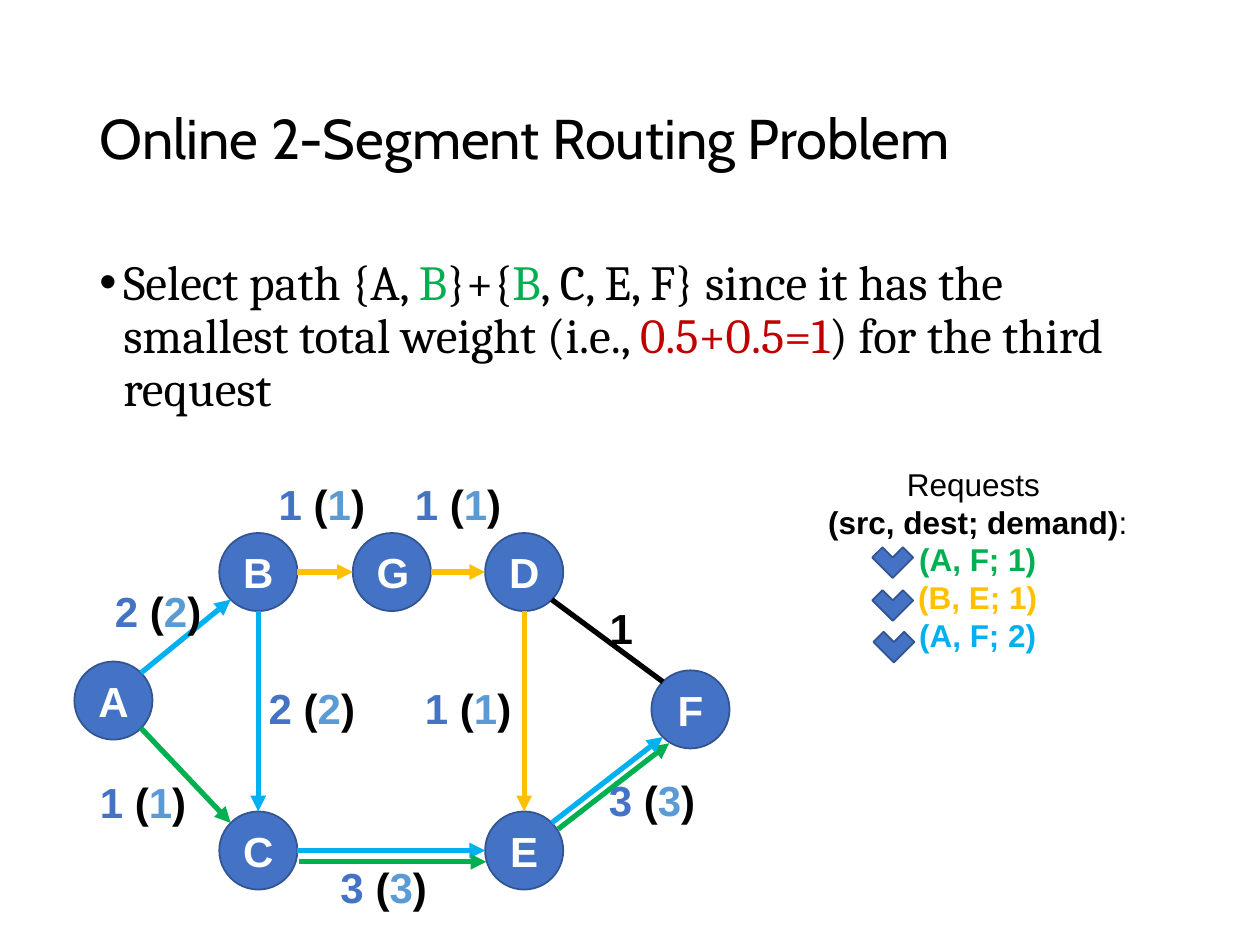
import math

import pptx
import pptx.util
from lxml import etree
from pptx.dml.color import RGBColor
from pptx.enum.shapes import MSO_CONNECTOR, MSO_SHAPE
from pptx.enum.text import MSO_ANCHOR, MSO_AUTO_SIZE, PP_ALIGN
from pptx.oxml.ns import qn
from pptx.util import Inches, Pt

BLACK = RGBColor(0x00, 0x00, 0x00)
WHITE = RGBColor(0xFF, 0xFF, 0xFF)
BLUE = RGBColor(0x44, 0x72, 0xC4)
DARK_BLUE = RGBColor(0x32, 0x54, 0x91)
LIGHT_BLUE = RGBColor(0x5B, 0x9B, 0xD5)
GREEN = RGBColor(0x00, 0xB0, 0x50)
AMBER = RGBColor(0xFF, 0xC0, 0x00)
SKY = RGBColor(0x00, 0xB0, 0xF0)
RED = RGBColor(0xC0, 0x00, 0x00)

TITLE = "Online 2-Segment Routing Problem"
BODY = [
    ("Select path {A, ", BLACK), ("B", GREEN), ("}+{", BLACK), ("B", GREEN),
    (", C, E, F} since it has the smallest total weight (i.e., ", BLACK),
    ("0.5+0.5=1", RED), (") for the third request", BLACK),
]
# Each line is a list of runs: text, colour, bold
REQUESTS = [
    [("Requests ", BLACK, False)],
    [("(src, dest; demand)", BLACK, True), (":", BLACK, False)],
    [("(A, F; 1)", GREEN, True)],
    [("(B, E; 1)", AMBER, True)],
    [("(A, F; 2)", SKY, True)],
]
CHECK_MARKS = [(6.97, 4.31), (6.97, 4.65), (6.98, 4.98)]
CHECK_SIZE = 0.23

NODE_SIZE = 0.62
NODES = {  # left, top
    "A": (0.59, 5.25), "B": (1.74, 4.23), "C": (1.74, 6.44), "D": (3.85, 4.23),
    "E": (3.85, 6.44), "F": (5.17, 5.32), "G": (2.8, 4.23),
}
DIAGONAL = math.sqrt(0.5)
SIDES = {
    "top": (0, -1), "bottom": (0, 1), "left": (-1, 0), "right": (1, 0),
    "top left": (-DIAGONAL, -DIAGONAL), "top right": (DIAGONAL, -DIAGONAL),
    "bottom left": (-DIAGONAL, DIAGONAL), "bottom right": (DIAGONAL, DIAGONAL),
}
# from node, side, to node, side, colour, arrow, shift
EDGES = [
    ("A", "top right", "B", "bottom left", SKY, True, (0, 0)),
    ("A", "bottom right", "C", "top left", GREEN, True, (0, 0)),
    ("D", "bottom right", "F", "top left", BLACK, False, (0, 0)),
    ("E", "top right", "F", "bottom left", GREEN, True, (0.05, 0.05)),
    ("B", "right", "G", "left", AMBER, True, (0, 0)),
    ("C", "right", "E", "left", SKY, True, (0, 0)),
    ("B", "bottom", "C", "top", SKY, True, (0, 0)),
    ("C", "right", "E", "left", GREEN, True, (0.01, 0.09)),
    ("D", "bottom", "E", "top", AMBER, True, (0, 0)),
    ("G", "right", "D", "left", AMBER, True, (0, 0)),
    ("E", "top right", "F", "bottom left", SKY, True, (0, 0)),
]
# weight, left, top
WEIGHTS = [
    ("2", 0.81, 4.6), ("1", 0.69, 6.11), ("3", 2.6, 6.79), ("1", 2.11, 3.75),
    ("2", 2.03, 5.37), ("1", 3.19, 3.75), ("3", 4.73, 6.1), ("1", 3.27, 5.37),
]


def add_run(paragraph, text, size, font_name, colour, bold=False, outline=None):
    run = paragraph.add_run()
    run.text = text
    font = run.font
    font.size, font.name, font.bold = Pt(size), font_name, bold
    font.color.rgb = colour
    if outline is not None:
        line = etree.Element(qn("a:ln"), w=str(Pt(0.75)))
        fill = etree.SubElement(line, qn("a:solidFill"))
        etree.SubElement(fill, qn("a:srgbClr"), val=str(outline))
        run._r.get_or_add_rPr().insert(0, line)


def add_text_box(slide, left, top, width, height, wrap=True):
    box = slide.shapes.add_textbox(*map(Inches, (left, top, width, height)))
    box.text_frame.word_wrap = wrap
    return box.text_frame


def add_blue_shape(slide, kind, left, top, size):
    shape = slide.shapes.add_shape(kind, *map(Inches, (left, top, size, size)))
    shape.shadow.inherit = False
    shape.fill.solid()
    shape.fill.fore_color.rgb = BLUE
    shape.line.color.rgb = DARK_BLUE
    shape.line.width = Pt(1)
    return shape


def add_node(slide, name, left, top):
    node = add_blue_shape(slide, MSO_SHAPE.OVAL, left, top, NODE_SIZE)
    node.text_frame.vertical_anchor = MSO_ANCHOR.MIDDLE
    paragraph = node.text_frame.paragraphs[0]
    paragraph.alignment = PP_ALIGN.CENTER
    add_run(paragraph, name, 24, "Arial", WHITE, bold=True)


def node_point(name, side, shift):
    """Point on the rim of a node, in inches, moved by shift."""
    radius = NODE_SIZE / 2
    return [corner + radius * (1 + direction) + offset
            for corner, direction, offset in zip(NODES[name], SIDES[side], shift)]


def add_edge(slide, start, start_side, end, end_side, colour, arrow, shift):
    points = node_point(start, start_side, shift) + node_point(end, end_side, shift)
    edge = slide.shapes.add_connector(MSO_CONNECTOR.STRAIGHT, *map(Inches, points))
    edge.line.color.rgb = colour
    edge.line.width = Pt(3)
    if arrow:
        etree.SubElement(edge.line._get_or_add_ln(), qn("a:tailEnd"), type="triangle")
    etree.SubElement(edge._element.spPr, qn("a:effectLst"))


def add_label(slide, left, top, width, height, runs):
    """Bold edge label; each run is text, colour, outline."""
    frame = add_text_box(slide, left, top, width, height, wrap=False)
    frame.auto_size = MSO_AUTO_SIZE.SHAPE_TO_FIT_TEXT
    paragraph = frame.paragraphs[0]
    paragraph.alignment = PP_ALIGN.CENTER
    for text, colour, outline in runs:
        add_run(paragraph, text, 24, "Arial", colour, True, outline)


def add_title(slide):
    title = slide.shapes.title
    title.left, title.top, title.width, title.height = map(Inches, (0.69, 0.4, 8.62, 1.45))
    title.text_frame.vertical_anchor = MSO_ANCHOR.MIDDLE
    paragraph = title.text_frame.paragraphs[0]
    paragraph.alignment = PP_ALIGN.LEFT
    paragraph.line_spacing = 0.9
    add_run(paragraph, TITLE, 32, "Cabin", BLACK)


def add_body(slide):
    paragraph = add_text_box(slide, 0.69, 2, 8.62, 4.76).paragraphs[0]
    properties = paragraph._p.get_or_add_pPr()
    properties.set("marL", str(Inches(0.19)))
    properties.set("indent", str(Inches(-0.19)))
    etree.SubElement(properties, qn("a:buFont"), typeface="Arial")
    etree.SubElement(properties, qn("a:buChar"), char="•")
    paragraph.line_spacing = 0.9
    for text, colour in BODY:
        add_run(paragraph, text, 28, "Cambria", colour)


def add_requests(slide):
    frame = add_text_box(slide, 6.46, 3.64, 2.6, 1.92)
    for index, runs in enumerate(REQUESTS):
        paragraph = frame.add_paragraph() if index else frame.paragraphs[0]
        paragraph.alignment = PP_ALIGN.CENTER
        for text, colour, bold in runs:
            add_run(paragraph, text, 18, "Arial", colour, bold)
    for left, top in CHECK_MARKS:
        mark = add_blue_shape(slide, MSO_SHAPE.CORNER, left, top, CHECK_SIZE)
        mark.rotation = 315


def main():
    presentation = pptx.Presentation()
    presentation.slide_width, presentation.slide_height = Inches(10), Inches(7.5)
    slide = presentation.slides.add_slide(presentation.slide_layouts[5])
    add_title(slide)
    add_body(slide)
    add_requests(slide)
    for name, (left, top) in NODES.items():
        add_node(slide, name, left, top)
    for edge in EDGES:
        add_edge(slide, *edge)
    for weight, left, top in WEIGHTS:
        add_label(slide, left, top, 0.89, 0.5, [
            (weight, BLUE, BLACK), (" (", BLACK, None),
            (weight, LIGHT_BLUE, BLUE), (")", BLACK, None)])
    add_label(slide, 4.74, 4.73, 0.34, 0.4, [("1", BLACK, None)])
    presentation.save("out.pptx")


if __name__ == "__main__":
    main()
